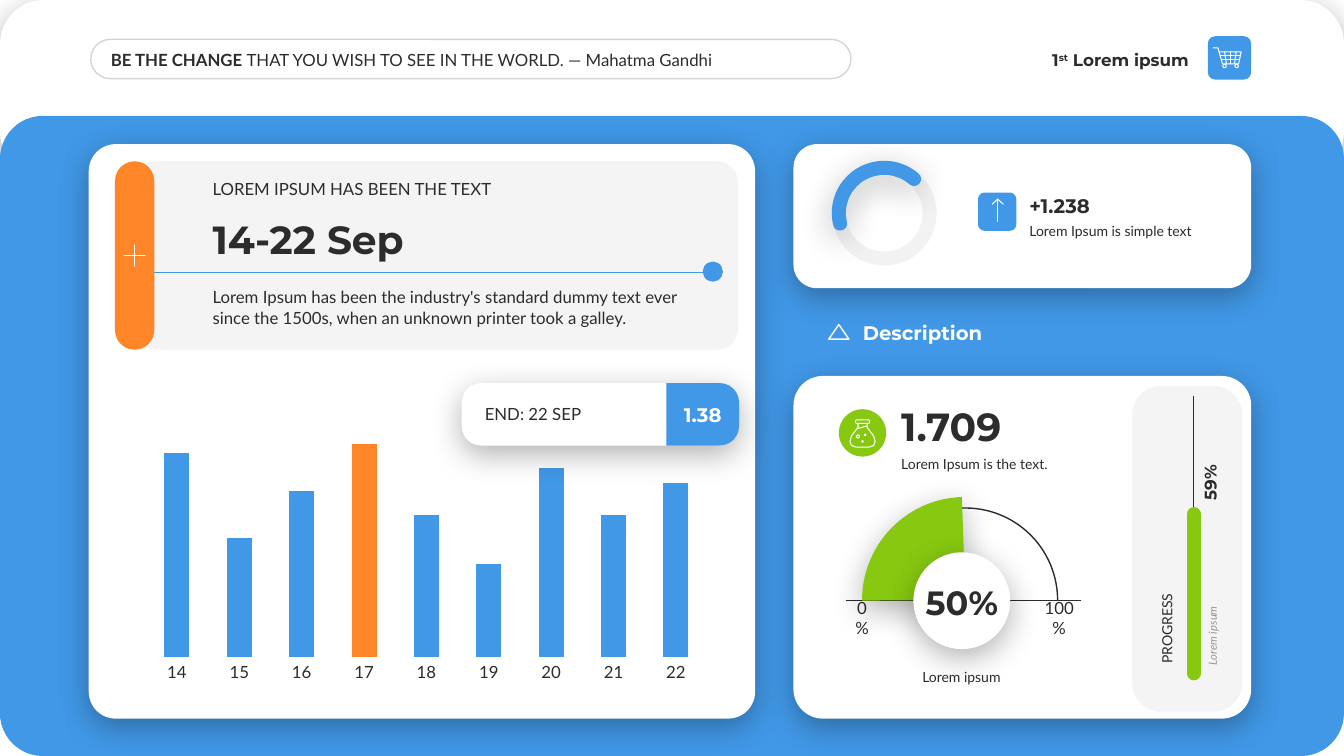
import dataclasses

import lxml.etree
import pptx
import pptx.chart.data
import pptx.dml.color
import pptx.enum.chart
import pptx.enum.shapes
import pptx.enum.text
import pptx.oxml.ns
import pptx.util

SHAPE = pptx.enum.shapes.MSO_SHAPE
ALIGN = pptx.enum.text.PP_ALIGN
ANCHOR = pptx.enum.text.MSO_ANCHOR
WIDTH, HEIGHT = pptx.util.Inches(13.33), pptx.util.Inches(7.5)
CELL = HEIGHT / 75  # the slide is 75 rows high and 133.3 columns wide, all cells square


@dataclasses.dataclass(frozen=True)
class Theme:
    ink: str = "2C2C2C"
    grey: str = "969696"
    white: str = "FFFFFF"
    blue: str = "4198E7"
    orange: str = "FF8529"
    green: str = "87C911"
    shade: str = "000000"
    heading: str = "Montserrat"
    body: str = "Lato"
    huge: int = 28
    large: int = 24
    title: int = 14
    normal: int = 12
    small: int = 10
    tiny: int = 8


THEME = Theme()


def cells(*values):
    return [pptx.util.Emu(round(value * CELL)) for value in values]


def rgb(color):
    return pptx.dml.color.RGBColor.from_string(color)


def add_node(parent, tag, **attributes):
    node = lxml.etree.SubElement(parent, pptx.oxml.ns.qn(tag))
    for name, value in attributes.items():
        node.set(name, str(value))
    return node


def paint(fill, color, alpha):
    """Fill with a colour, alpha percent opaque; no colour means no fill."""
    if color is None:
        fill.background()
        return
    fill.solid()
    fill.fore_color.rgb = rgb(color)
    if alpha < 100:
        tag = pptx.oxml.ns.qn("a:srgbClr")
        for node in fill._xPr.find(pptx.oxml.ns.qn("a:solidFill")).iter(tag):
            add_node(node, "a:alpha", val=alpha * 1000)


def style_line(line, color, weight, alpha=100, rounded=False):
    paint(line.fill, color, alpha)
    if color:
        line.width = pptx.util.Pt(weight)
        if rounded:
            line._ln.set("cap", "rnd")


def style_shape(shape, fill=None, alpha=100, line=None, weight=1, line_alpha=100,
                rounded=False, shadow=False):
    paint(shape.fill, fill, alpha)
    style_line(shape.line, line, weight, line_alpha, rounded)
    shape.shadow.inherit = False
    if shadow:
        effects = shape.element.spPr.find(pptx.oxml.ns.qn("a:effectLst"))
        outer = add_node(effects, "a:outerShdw", blurRad=pptx.util.Pt(23),
                         dist=pptx.util.Pt(6), dir=90 * 60000, algn="t", rotWithShape=0)
        add_node(add_node(outer, "a:srgbClr", val=THEME.shade), "a:alpha", val=30000)


def add_preset(page, kind, at, adjust=(), turn=0, **style):
    shape = page.shapes.add_shape(kind, *cells(*at))
    for index, value in enumerate(adjust):
        shape.adjustments[index] = value
    shape.rotation = turn
    style_shape(shape, **style)


def add_panel(page, at, corner=0.167, **style):
    add_preset(page, SHAPE.ROUNDED_RECTANGLE, at, [corner], **style)


def add_arc(page, at, start, end, **style):
    """Arc between two angles in degrees, clockwise from three o'clock."""
    add_preset(page, SHAPE.ARC, at, [start * 0.6, end * 0.6], **style)


def add_rule(page, start, end, color, weight, rounded=False):
    rule = page.shapes.add_connector(pptx.enum.shapes.MSO_CONNECTOR.STRAIGHT,
                                     *cells(*start, *end))
    style_line(rule.line, color, weight, rounded=rounded)
    add_node(rule.element.spPr, "a:effectLst")


def add_strokes(page, strokes, weight=0.75):
    """White line icon made of open polylines."""
    builder = None
    for stroke in strokes:
        points = [cells(*point) for point in stroke]
        if builder is None:
            builder = page.shapes.build_freeform(*points[0], scale=1.0)
        else:
            builder.move_to(*points[0])
        builder.add_line_segments(points[1:], close=False)
    style_shape(builder.convert_to_shape(), line=THEME.white, weight=weight, rounded=True)


def add_rings(page, circles):
    for x, y, radius in circles:
        add_preset(page, SHAPE.OVAL, (x - radius, y - radius, 2 * radius, 2 * radius),
                   line=THEME.white, weight=0.75)


def add_text(page, at, text, size=THEME.normal, font=THEME.body, color=THEME.ink, bold=False,
             italic=False, align=ALIGN.LEFT, anchor=ANCHOR.MIDDLE, inset=(1, 1), turn=0):
    """Text is a string, or a list of (string, bold, raised) spans."""
    box = page.shapes.add_textbox(*cells(*at))
    box.rotation = turn
    frame = box.text_frame
    frame.word_wrap = True
    frame.vertical_anchor = anchor
    frame.margin_left, frame.margin_right = cells(*inset)
    frame.margin_top = frame.margin_bottom = cells(0.5)[0]
    para = frame.paragraphs[0]
    para.alignment = align
    for words, heavy, raised in [(text, bold, False)] if isinstance(text, str) else text:
        span = para.add_run()
        span.text = words
        span.font.size = pptx.util.Pt(size)
        span.font.name = font
        span.font.bold = heavy
        span.font.italic = italic
        span.font.color.rgb = rgb(color)
        if raised:
            span.font._element.set("baseline", "30000")


def add_heading(page, at, text, size=THEME.title, **style):
    add_text(page, at, text, size, THEME.heading, **{"bold": True, **style})


def add_daily_chart(page, at):
    data = pptx.chart.data.CategoryChartData()
    data.categories = [str(day) for day in range(14, 23)]
    data.add_series("Series 1", (96, 56, 78, 100, 67, 44, 89, 67, 82))
    kind = pptx.enum.chart.XL_CHART_TYPE.COLUMN_CLUSTERED
    chart = page.shapes.add_chart(kind, *cells(*at), data).chart
    chart.has_legend = chart.has_title = False
    chart.font.size = pptx.util.Pt(THEME.normal)
    chart.font.name = THEME.body
    chart.font.color.rgb = rgb(THEME.ink)
    days, values = chart.category_axis, chart.value_axis
    days.major_tick_mark = pptx.enum.chart.XL_TICK_MARK.NONE
    days.format.line.fill.background()
    values.has_major_gridlines = values.visible = False
    values.minimum_scale, values.maximum_scale = 0, 100
    plot = chart.plots[0]
    plot.gap_width = 150
    plot.vary_by_categories = False
    series = plot.series[0]
    paint(series.format.fill, THEME.blue, 100)
    paint(series.points[3].format.fill, THEME.orange, 100)
    area = chart._chartSpace.chart.plotArea
    for old in area.findall(pptx.oxml.ns.qn("c:layout")):
        area.remove(old)
    layout = add_node(area, "c:layout")
    area.insert(0, layout)
    manual = add_node(layout, "c:manualLayout")
    for tag, value in (("layoutTarget", "inner"), ("xMode", "edge"), ("yMode", "edge"),
                       ("x", 0.02), ("y", 0.11), ("w", 0.96), ("h", 0.78)):
        add_node(manual, f"c:{tag}", val=value)


def add_header(page):
    add_panel(page, (0, 0, 133.3, 17.4), 0.25, fill=THEME.white, shadow=True)
    add_panel(page, (0, 11.5, 133.3, 63.5), 0.067, fill=THEME.blue)
    add_panel(page, (9, 3.9, 75.4, 3.9), 0.5, line=THEME.ink, line_alpha=20)
    add_text(page, (10.6, 4.4, 72.6, 3), [
        ("BE THE CHANGE ", True, False),
        ("THAT YOU WISH TO SEE IN THE WORLD. ― Mahatma Gandhi", False, False)], inset=(0.4, 0.4))
    add_heading(page, (98.9, 4.4, 20, 3), [
        ("1", True, False), ("st", True, True), (" Lorem ipsum", True, False)],
        THEME.normal, align=ALIGN.RIGHT)
    add_panel(page, (119.8, 3.6, 4.3, 4.3), fill=THEME.blue)
    basket = [(120.3, 4.75), (120.8, 4.75), (121.25, 6.35), (122.85, 6.35), (123.1, 5.15),
              (120.95, 5.15)]
    shelves = [[(121.05, 5.55), (123, 5.55)], [(121.15, 5.95), (122.95, 5.95)]]
    bars = [[(121.45, 5.15), (121.65, 6.35)], [(122.05, 5.15), (122.05, 6.35)],
            [(122.6, 5.15), (122.45, 6.35)]]
    add_strokes(page, [basket, *shelves, *bars])
    add_rings(page, [(121.45, 6.55, 0.17), (122.65, 6.55, 0.17)])


def add_schedule(page):
    add_panel(page, (8.8, 14.3, 66.1, 57), 0.047, fill=THEME.white, shadow=True)
    add_panel(page, (13.4, 16, 59.8, 18.7), 0.11, fill=THEME.ink, alpha=5)
    add_text(page, (20.1, 28, 51, 5), "Lorem Ipsum has been the industry's standard dummy text "
             "ever since the 1500s, when an unknown printer took a galley.", anchor=ANCHOR.TOP)
    add_heading(page, (20.1, 20.8, 51, 5.7), "14-22 Sep", THEME.huge, anchor=ANCHOR.BOTTOM)
    add_text(page, (20.1, 17.2, 51, 3), "LOREM IPSUM HAS BEEN THE TEXT", anchor=ANCHOR.BOTTOM)
    add_rule(page, (14.4, 27), (69.7, 27), THEME.blue, 0.5)
    add_preset(page, SHAPE.OVAL, (69.7, 25.95, 2, 2), fill=THEME.blue)
    add_panel(page, (11.4, 16, 3.9, 18.7), 0.5, fill=THEME.orange)
    add_strokes(page, [[(12.3, 25.35), (14.4, 25.35)], [(13.35, 24.3), (13.35, 26.4)]])
    add_daily_chart(page, (13.3, 41.1, 58, 27.1))
    add_panel(page, (45.8, 38, 27.4, 6.2), 0.31, fill=THEME.white, shadow=True)
    add_text(page, (47.1, 39.6, 19.6, 3), "END: 22 SEP")
    add_preset(page, SHAPE.ROUND_2_SAME_RECTANGLE, (66.6, 37.5, 6.2, 7.2), [0.31, 0], 90,
               fill=THEME.blue)
    add_heading(page, (66.1, 39.4, 7.2, 3.4), "1.38", color=THEME.white, align=ALIGN.CENTER,
                inset=(0.4, 0.4))


def add_growth(page):
    ring = (83.2, 16.65, 9, 9)
    add_panel(page, (78.7, 14.3, 45.4, 14.3), 0.163, fill=THEME.white, shadow=True)
    add_preset(page, SHAPE.OVAL, ring, line=THEME.ink, weight=10, line_alpha=5)
    add_arc(page, ring, 166.69, 311.16, line=THEME.blue, weight=10, rounded=True, shadow=True)
    add_panel(page, (97, 19.1, 3.8, 3.8), fill=THEME.blue)
    add_strokes(page, [[(98.95, 21.95), (98.95, 19.75)],
                       [(98.4, 20.25), (98.95, 19.75), (99.5, 20.25)]])
    add_text(page, (102.1, 21.6, 19.7, 2.7), "Lorem Ipsum is simple text", THEME.small,
             anchor=ANCHOR.TOP, inset=(0, 0))
    add_heading(page, (102.1, 18.7, 19.7, 3.4), "+1.238", anchor=ANCHOR.BOTTOM, inset=(0, 0))
    add_heading(page, (84.6, 31.3, 33, 3.4), "Description", color=THEME.white)
    add_preset(page, SHAPE.ISOSCELES_TRIANGLE, (82.2, 32.2, 2, 1.45), line=THEME.white)


def add_gauge(page):
    add_panel(page, (78.7, 37.3, 45.4, 34), 0.086, fill=THEME.white, shadow=True)
    add_panel(page, (112.3, 38.3, 10.9, 32.3), 0.26, fill=THEME.ink, alpha=5)
    add_text(page, (88.4, 44.7, 17.9, 2.7), "Lorem Ipsum is the text.", THEME.small,
             anchor=ANCHOR.TOP)
    add_heading(page, (88.4, 39.4, 17.9, 5.7), "1.709", THEME.huge, anchor=ANCHOR.BOTTOM)
    add_preset(page, SHAPE.OVAL, (83.2, 40.6, 4.7, 4.7), fill=THEME.green)
    half = [(-0.45, 42), (-0.45, 42.4), (-0.8, 42.85), (-1.1, 43.25), (-1.25, 43.8),
            (-1.1, 44.2), (-0.65, 44.35), (0, 44.35)]
    add_strokes(page, [[(85.55 + side * x, y) for x, y in half] for side in (-1, 1)]
                + [[(85.1, 42.5), (85.5, 42.4), (86, 42.25)]])
    add_panel(page, (84.85, 41.65, 1.4, 0.35), 0.4, line=THEME.white, weight=0.75)
    add_rings(page, [(85.1, 43.3, 0.15), (85.55, 43.8, 0.07), (85.8, 43.15, 0.07)])
    add_arc(page, (86.6, 50.4, 18.3, 18.3), 179.82, 0, line=THEME.ink)
    add_rule(page, (83.9, 59.6), (107.2, 59.6), THEME.ink, 1)
    for left, width, label in ((84.5, 2, "0%"), (103.2, 3.7, "100%")):
        add_text(page, (left, 60.4, width, 1.7), label, align=ALIGN.CENTER, inset=(0, 0))
    add_arc(page, (85.5, 49.3, 20.5, 20.5), 179.82, 268.07, fill=THEME.green, shadow=True)
    add_text(page, (83.3, 65.8, 24.1, 2.7), "Lorem ipsum", THEME.small, align=ALIGN.CENTER,
             anchor=ANCHOR.TOP)
    add_preset(page, SHAPE.OVAL, (90.6, 54.8, 9.6, 9.6), fill=THEME.white, shadow=True)
    add_heading(page, (90, 57.2, 10.8, 5), "50%", THEME.large, align=ALIGN.CENTER,
                anchor=ANCHOR.BOTTOM)


def add_progress(page):
    add_rule(page, (118.4, 66.8), (118.4, 39.3), THEME.ink, 0.5)
    add_rule(page, (118.4, 66.8), (118.4, 51), THEME.green, 10, rounded=True)
    add_text(page, (110.7, 56, 19.2, 2.4), "Lorem ipsum", THEME.tiny, color=THEME.grey,
             italic=True, anchor=ANCHOR.TOP, inset=(0.8, 1), turn=270)
    add_heading(page, (115.1, 44.2, 9.8, 3), "59%", THEME.normal, anchor=ANCHOR.BOTTOM,
                inset=(1, 0.4), turn=270)
    add_text(page, (106.1, 55.9, 19.2, 2.7), "PROGRESS", THEME.small, anchor=ANCHOR.BOTTOM,
             turn=270)


def main():
    deck = pptx.Presentation()
    deck.slide_width, deck.slide_height = WIDTH, HEIGHT
    page = deck.slides.add_slide(deck.slide_layouts[6])
    for add_section in (add_header, add_schedule, add_growth, add_gauge, add_progress):
        add_section(page)
    deck.save("out.pptx")


if __name__ == "__main__":
    main()
